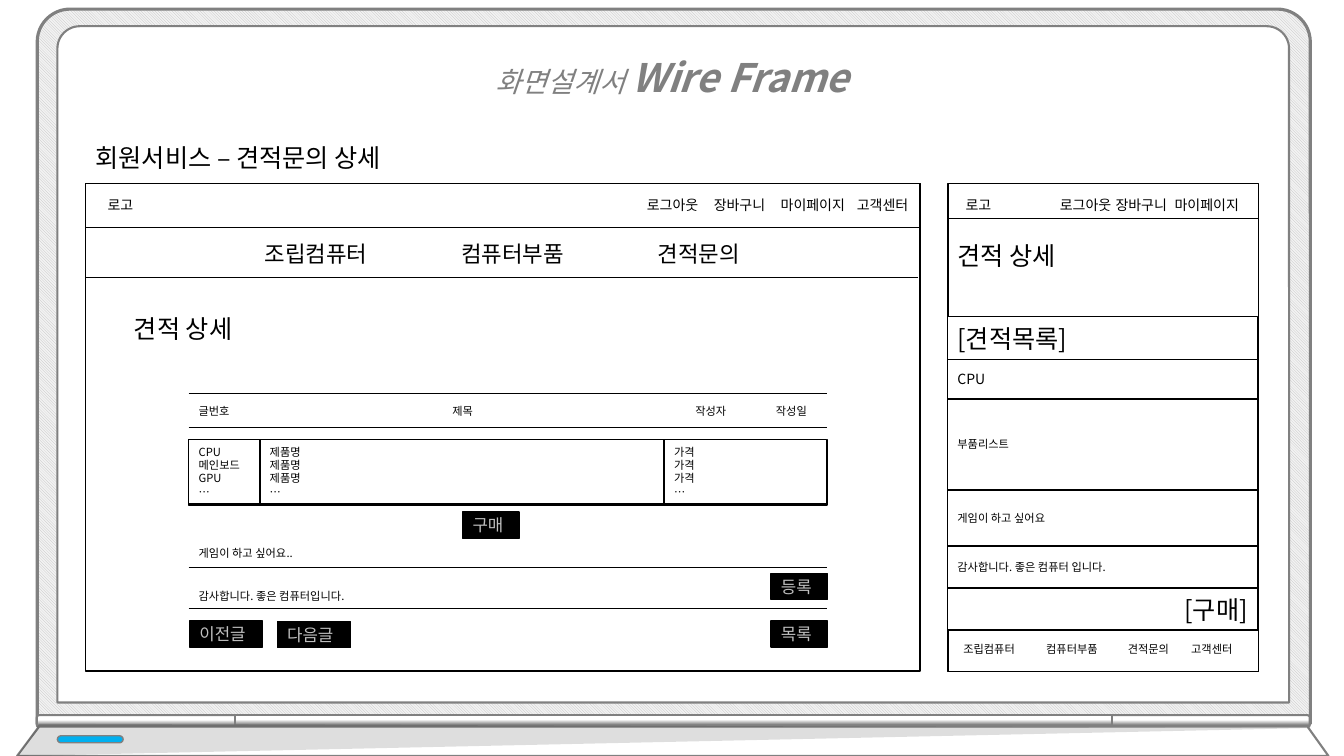
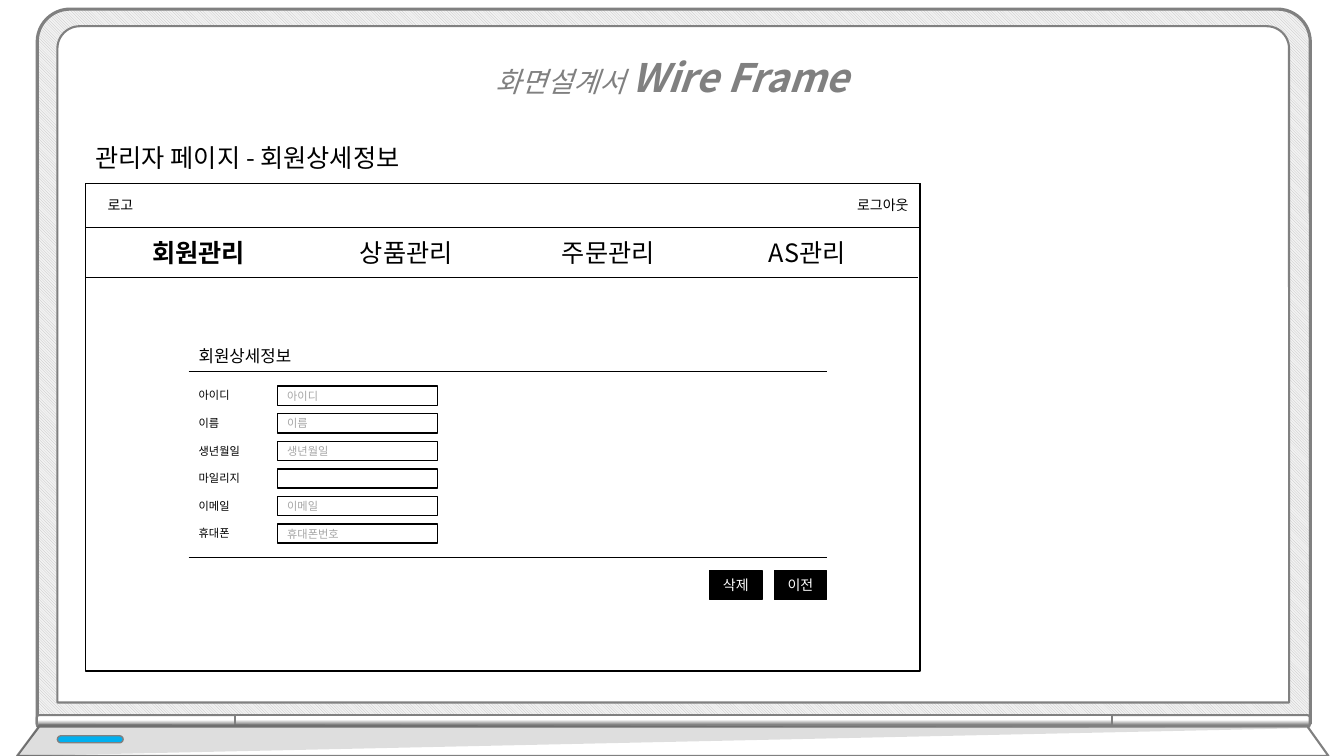
"""Builds two wireframe slides, a quote page and a member page, on a laptop screen."""
from dataclasses import dataclass

from lxml.etree import SubElement
from pptx import Presentation
from pptx.dml.color import RGBColor as RGB
from pptx.enum.dml import MSO_PATTERN as PATTERN
from pptx.enum.shapes import MSO_CONNECTOR as CONNECTOR, MSO_SHAPE as SHAPE
from pptx.enum.text import MSO_ANCHOR as ANCHOR, MSO_AUTO_SIZE as AUTO_SIZE, PP_ALIGN as ALIGN
from pptx.oxml.ns import qn
from pptx.util import Pt


@dataclass(frozen=True)
class Theme:
    font: str = "Noto Sans CJK KR"
    black: RGB = RGB(0, 0, 0)
    white: RGB = RGB(255, 255, 255)
    gray: RGB = RGB(0x80, 0x80, 0x80)
    hint: RGB = RGB(0xA6, 0xA6, 0xA6)
    silver: RGB = RGB(0xBF, 0xBF, 0xBF)
    pale: RGB = RGB(0xF2, 0xF2, 0xF2)
    blue: RGB = RGB(0x00, 0xB0, 0xF0)
    title: int = 28
    subtitle: int = 20
    heading: int = 18
    menu: int = 16
    button: int = 12
    body: int = 10
    small: int = 8


T = Theme()


def box(s, x, y, w, h, text="", size=T.small, color=T.black, fill=None, align=ALIGN.LEFT, bold=False):
    if fill is None:
        sp = s.shapes.add_textbox(Pt(x), Pt(y), Pt(w), Pt(h))
    else:
        sp = s.shapes.add_shape(SHAPE.RECTANGLE, Pt(x), Pt(y), Pt(w), Pt(h))
        sp.shadow.inherit = False
        sp.fill.solid()
        sp.fill.fore_color.rgb = fill
        sp.line.color.rgb = T.black
        sp.line.width = Pt(1)
    tf = sp.text_frame
    tf.word_wrap = True
    tf.vertical_anchor = ANCHOR.TOP if fill is None else ANCHOR.MIDDLE
    tf.text = text
    for p in tf.paragraphs:
        p.alignment = align
        for r in p.runs:
            r.font.size = Pt(size)
            r.font.bold = bold
            r.font.color.rgb = color
            r.font.name = T.font
            SubElement(r.font._element, qn("a:ea"), typeface=T.font)


def rule(s, x1, x2, y):
    line = s.shapes.add_connector(CONNECTOR.STRAIGHT, Pt(x1), Pt(y), Pt(x2), Pt(y))
    line.line.color.rgb = T.black
    line.line.width = Pt(0.5)
    SubElement(line._element.spPr, qn("a:effectLst"))


prs = Presentation()
prs.slide_width, prs.slide_height = Pt(960), Pt(540)

LEFT, TOP, WIDTH, HEIGHT = 61.2, 131, 596, 348.5
INNER_LEFT, INNER_RIGHT = 134.8, 591
slides = []
for heading in ("회원서비스 – 견적문의 상세", "관리자 페이지 - 회원상세정보"):
    s = prs.slides.add_slide(prs.slide_layouts[5])
    slides.append(s)
    laptop = s.shapes.add_group_shape()
    s.shapes._spTree.insert(2, laptop._element)

    for x, y, w, h, corner, weight in ((26.6, 6.5, 909.4, 510.5, 0.046, 2.25),
                                       (41, 18.7, 879.8, 483.1, 0.033, 1.5)):
        sp = laptop.shapes.add_shape(SHAPE.ROUND_2_SAME_RECTANGLE, Pt(x), Pt(y), Pt(w), Pt(h))
        sp.adjustments[0], sp.adjustments[1] = corner, 0
        sp.shadow.inherit = False
        sp.line.color.rgb = T.gray
        sp.line.width = Pt(weight)
        if corner == 0.046:
            sp.fill.patterned()
            sp.fill.pattern = PATTERN.LIGHT_DOWNWARD_DIAGONAL
            sp.fill.fore_color.rgb = T.silver
            sp.fill.back_color.rgb = T.pale
        else:
            sp.fill.solid()
            sp.fill.fore_color.rgb = T.white

    for x, y, length, turn, corner in ((92.9, 444.2, 141.8, 270, 0.193),
                                       (860.4, 444.2, 141.8, 90, 0.193),
                                       (476.6, 201.6, 626.4, 270, 0)):
        sp = laptop.shapes.add_shape(SHAPE.ROUND_2_SAME_RECTANGLE, Pt(x), Pt(y), Pt(8.6), Pt(length))
        sp.adjustments[0], sp.adjustments[1] = corner, 0
        sp.rotation = turn
        if turn == 90:
            sp._element.spPr.xfrm.set("flipH", "1")
        sp.shadow.inherit = False
        sp.line.color.rgb = T.gray
        sp.line.width = Pt(1.5)
        sp.fill.gradient()
        sp.fill.gradient_angle = 0
        for stop, position, color in zip(sp.fill.gradient_stops, (0.17, 0.59), (T.gray, T.white)):
            stop.position = position
            stop.color.rgb = color

    for points, color in ((((28, 519), (934, 519), (949, 540), (12.2, 540)), T.white),
                          (((28, 517), (12.2, 540), (937.4, 520)), T.black)):
        outline = laptop.shapes.build_freeform(Pt(points[0][0]), Pt(points[0][1]))
        outline.add_line_segments([(Pt(x), Pt(y)) for x, y in points[1:]])
        sp = outline.convert_to_shape()
        sp.shadow.inherit = False
        sp.fill.solid()
        sp.fill.fore_color.rgb = color
        if color == T.black:
            sp.line.fill.background()
            tint = sp._element.spPr.find(qn("a:solidFill")).find(qn("a:srgbClr"))
            SubElement(tint, qn("a:alpha"), val="13000")
        else:
            sp.line.color.rgb = T.gray
            sp.line.width = Pt(1.5)

    lamp = laptop.shapes.add_shape(SHAPE.ROUNDED_RECTANGLE, Pt(41), Pt(525.6), Pt(47), Pt(5))
    lamp.adjustments[0] = 0.5
    lamp.shadow.inherit = False
    lamp.fill.solid()
    lamp.fill.fore_color.rgb = T.blue
    lamp.line.color.rgb = T.gray
    lamp.line.width = Pt(1)

    title = s.shapes.title
    title.left, title.top, title.width, title.height = Pt(264.2), Pt(18), Pt(432), Pt(58.3)
    tf = title.text_frame
    tf.auto_size = AUTO_SIZE.NONE
    tf.vertical_anchor = ANCHOR.TOP
    p = tf.paragraphs[0]
    p.alignment = ALIGN.CENTER
    p.line_spacing = 1.5
    for text, size in (("화면설계서 ", T.subtitle), ("Wire Frame", T.title)):
        r = p.add_run()
        r.text = text
        r.font.size = Pt(size)
        r.font.italic = True
        r.font.bold = size == T.title
        r.font.color.rgb = T.gray
        r.font.name = T.font
        SubElement(r.font._element, qn("a:ea"), typeface=T.font)

    box(s, LEFT, 97.9, 270, 29, heading, T.heading)
    box(s, LEFT, TOP, WIDTH, HEIGHT, fill=T.white)
    box(s, LEFT, TOP, WIDTH, 31.5, fill=T.white)
    box(s, 69.8, 136.8, 100, 19.4, "로고", T.body)
    rule(s, LEFT, 656, 198)

quote, member = slides

for x, text in ((455, "로그아웃"), (502.8, "장바구니"), (550.6, "마이페이지"), (605, "고객센터")):
    box(quote, x, 136.8, 64, 19.4, text, T.body)
for i, text in enumerate(("조립컴퓨터", "컴퓨터부품", "견적문의")):
    box(quote, 182 + 140.4 * i, 167.8, 110, 26.6, text, T.menu)
box(quote, 88.6, 220.3, 165, 29, "견적 상세", T.heading)

for y in (280.8, 305.3, 405.4, 434.9):
    rule(quote, INNER_LEFT, INNER_RIGHT, y)
for x, text in ((INNER_LEFT, "글번호"), (316, "제목"), (489.6, "작성자"), (547.2, "작성일")):
    box(quote, x, 285.1, 43.2, 17.3, text)

box(quote, INNER_LEFT, 313.9, 456, 46.8, fill=T.white)
for x, w, text in ((INNER_LEFT, 50.6, "CPU\n메인보드\nGPU\n…"),
                   (185.6, 288.8, "제품명\n제품명\n제품명\n…"),
                   (474.4, 116.2, "가격\n가격\n가격\n…")):
    box(quote, x, 313.9, w, 46.1, text, fill=T.white)
for y, text in ((386.6, "게임이 하고 싶어요.."), (417.6, "감사합니다. 좋은 컴퓨터입니다.")):
    box(quote, INNER_LEFT, y, 456, 17.3, text)
for x, y, w, text in ((330.5, 365.8, 40.3, "구매"), (550.8, 409.7, 40.3, "등록"),
                      (550.8, 443.5, 40.3, "목록"), (135.3, 443.5, 52.4, "이전글"),
                      (198, 444, 52.4, "다음글")):
    box(quote, x, y, w, 18.7, text, T.button, T.silver, T.black)

PHONE_LEFT, PHONE_WIDTH = 677.3, 221.6
box(quote, PHONE_LEFT, TOP, PHONE_WIDTH, HEIGHT, fill=T.white)
box(quote, 682.6, 136.8, 50, 19.4, "로고", T.body)
for x, text in ((750, "로그아웃"), (789.8, "장바구니"), (832, "마이페이지")):
    box(quote, x, 136.8, 64, 19.4, text, T.body)
rule(quote, PHONE_LEFT, PHONE_LEFT + PHONE_WIDTH, 156)
box(quote, 676.8, 167.8, 165, 29, "견적 상세", T.heading)
y = 226
for h, text, size, align in ((31, "[견적목록]", T.heading, ALIGN.LEFT),
                             (28, "CPU", T.body, ALIGN.LEFT),
                             (65, "부품리스트", T.small, ALIGN.LEFT),
                             (40, "게임이 하고 싶어요", T.small, ALIGN.LEFT),
                             (30, "감사합니다. 좋은 컴퓨터 입니다.", T.small, ALIGN.LEFT),
                             (30, "[구매]", T.heading, ALIGN.RIGHT)):
    box(quote, 676.8, y, PHONE_WIDTH, h, text, size, fill=T.white, align=align)
    y += h
box(quote, PHONE_LEFT, y, PHONE_WIDTH, TOP + HEIGHT - y, fill=T.white)
for x, text in ((681, "조립컴퓨터"), (740.2, "컴퓨터부품"), (798.5, "견적문의"), (843.8, "고객센터")):
    box(quote, x, 455.5, 58, 17.3, text)

box(member, 556, 136.8, 100, 19.4, "로그아웃", T.body, align=ALIGN.RIGHT)
for x, text in ((101.5, "회원관리"), (250, "상품관리"), (394.3, "주문관리"), (542, "AS관리")):
    box(member, x, 165.6, 110, 29, text, T.heading, bold=text == "회원관리")
box(member, INNER_LEFT, 243.4, 100, 21.6, "회원상세정보", T.button)
for y in (265, 398.2):
    rule(member, INNER_LEFT, INNER_RIGHT, y)
for i, (label, hint) in enumerate((("아이디", "아이디"), ("이름", "이름"), ("생년월일", "생년월일"),
                                   ("마일리지", ""), ("이메일", "이메일"), ("휴대폰", "휴대폰번호"))):
    y = 275.8 + 19.7 * i
    box(member, INNER_LEFT, y - 1.7, 60, 17.3, label)
    box(member, 198, y, 114.5, 13.7, hint, color=T.hint, fill=T.white)
for x, text in ((506.9, "삭제"), (553, "이전")):
    box(member, x, 407.5, 37.4, 20.9, text, T.body, T.white, T.black, ALIGN.CENTER)

prs.save("out.pptx")
